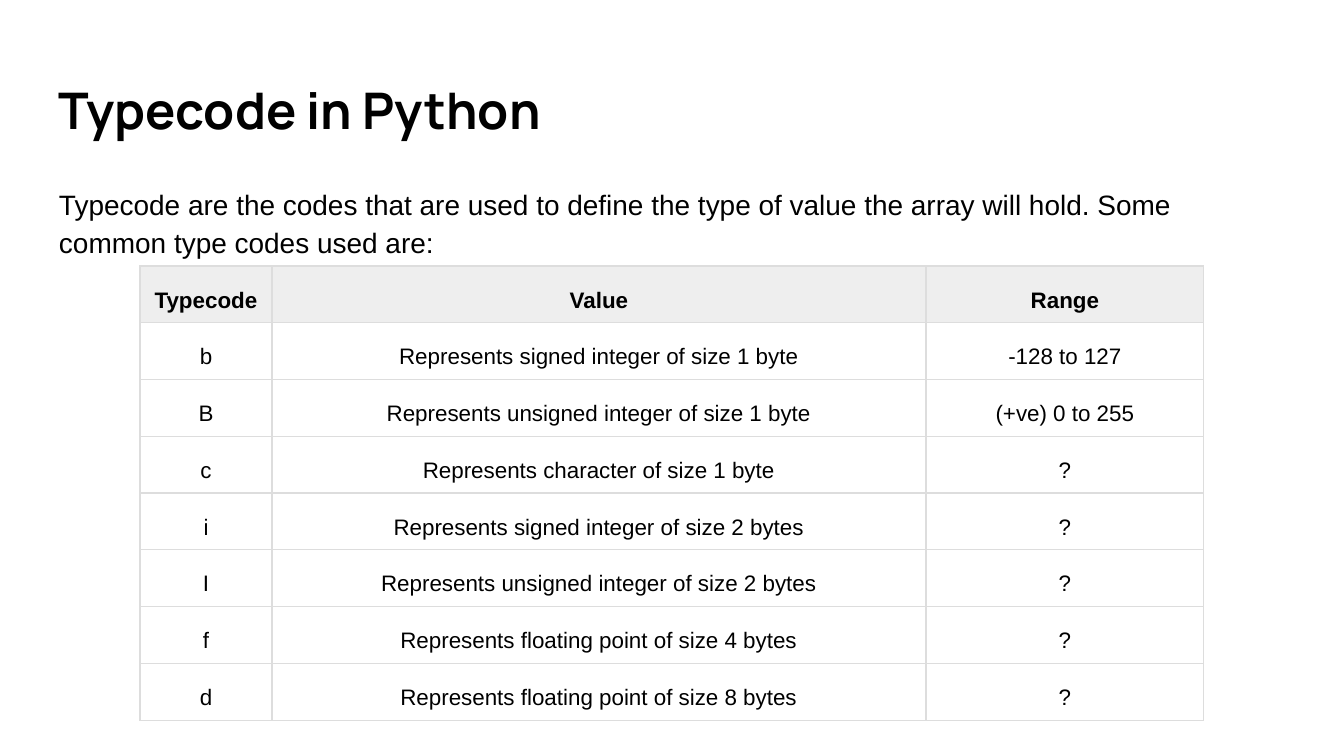
import dataclasses

import lxml.etree
import pptx
import pptx.dml.color
import pptx.enum.text
import pptx.oxml
import pptx.oxml.ns
import pptx.util

EMU_PER_PX = 9144000 / 1344
ALIGN = pptx.enum.text.PP_ALIGN
ANCHOR = pptx.enum.text.MSO_ANCHOR


@dataclasses.dataclass(frozen=True)
class Theme:
    ink: str = "000000"
    paper: str = "FFFFFF"
    header: str = "EEEEEE"
    border: str = "DDDDDD"
    title_font: str = "Manrope"
    body_font: str = "Arial"
    title_size: int = 27
    body_size: int = 15
    table_size: int = 12
    border_width: float = 0.75


THEME = Theme()

TITLE = "Typecode in Python"
INTRO = (
    "Typecode are the codes that are used to define the type of value "
    "the array will hold. Some common type codes used are:"
)
ROWS = [
    ("Typecode", "Value", "Range"),
    ("b", "Represents signed integer of size 1 byte", "-128 to 127"),
    ("B", "Represents unsigned integer of size 1 byte", "(+ve) 0 to 255"),
    ("c", "Represents character of size 1 byte", "?"),
    ("i", "Represents signed integer of size 2 bytes", "?"),
    ("I", "Represents unsigned integer of size 2 bytes", "?"),
    ("f", "Represents floating point of size 4 bytes", "?"),
    ("d", "Represents floating point of size 8 bytes", "?"),
]
COLUMN_WIDTHS = (132, 654, 278)


def px(length):
    return pptx.util.Emu(round(length * EMU_PER_PX))


def rgb(value):
    return pptx.dml.color.RGBColor.from_string(value)


def write_text(frame, text, *, font, size, bold=False, align=ALIGN.LEFT,
               line_spacing=1.0, space_after=0):
    para = frame.paragraphs[0]
    para.alignment = align
    para.line_spacing = line_spacing
    para.space_before = pptx.util.Pt(0)
    para.space_after = pptx.util.Pt(space_after)
    span = para.add_run()
    span.text = text
    span.font.name = font
    span.font.size = pptx.util.Pt(size)
    span.font.bold = bold
    span.font.color.rgb = rgb(THEME.ink)
    return para


def place_placeholder(placeholder, box):
    placeholder.left, placeholder.top, placeholder.width, placeholder.height = map(px, box)
    frame = placeholder.text_frame
    frame.word_wrap = True
    frame.auto_size = pptx.enum.text.MSO_AUTO_SIZE.NONE
    frame.vertical_anchor = ANCHOR.TOP
    frame.margin_left = frame.margin_right = px(13)
    frame.margin_top = frame.margin_bottom = px(13)
    return frame


def add_title(page, box):
    frame = place_placeholder(page.shapes.title, box)
    write_text(frame, TITLE, font=THEME.title_font, size=THEME.title_size, bold=True)


def add_intro(page, box):
    frame = place_placeholder(page.placeholders[1], box)
    para = write_text(frame, INTRO, font=THEME.body_font, size=THEME.body_size,
                      line_spacing=1.15, space_after=12)
    properties = para._p.get_or_add_pPr()
    properties.set("marL", "0")
    properties.set("indent", "0")
    lxml.etree.SubElement(properties, pptx.oxml.ns.qn("a:buNone"))


def set_borders(cell):
    properties = cell._tc.get_or_add_tcPr()
    width = pptx.util.Pt(THEME.border_width)
    for side in ("lnL", "lnR", "lnT", "lnB"):
        properties.append(pptx.oxml.parse_xml(
            f'<a:{side} {pptx.oxml.ns.nsdecls("a")} w="{width}"><a:solidFill>'
            f'<a:srgbClr val="{THEME.border}"/></a:solidFill></a:{side}>'
        ))


def format_cell(cell, text, is_header):
    set_borders(cell)
    if is_header:
        cell.fill.solid()
        cell.fill.fore_color.rgb = rgb(THEME.header)
    else:
        cell.fill.background()
    cell.margin_left = cell.margin_right = cell.margin_top = px(11)
    cell.margin_bottom = px(10)
    cell.vertical_anchor = ANCHOR.TOP
    write_text(cell.text_frame, text, font=THEME.body_font, size=THEME.table_size,
               bold=is_header, align=ALIGN.CENTER, line_spacing=1.43, space_after=15)


def add_typecode_table(page, box):
    table = page.shapes.add_table(len(ROWS), len(COLUMN_WIDTHS), *map(px, box)).table
    table.horz_banding = False
    for column, width in zip(table.columns, COLUMN_WIDTHS):
        column.width = px(width)
    for row_index, texts in enumerate(ROWS):
        table.rows[row_index].height = px(box[3] / len(ROWS))
        for column_index, text in enumerate(texts):
            format_cell(table.cell(row_index, column_index), text, row_index == 0)


def main():
    deck = pptx.Presentation()
    deck.slide_width, deck.slide_height = px(1344), px(756)
    page = deck.slides.add_slide(deck.slide_layouts[1])
    page.background.fill.solid()
    page.background.fill.fore_color.rgb = rgb(THEME.paper)
    add_title(page, (46, 66, 1252, 91))
    add_intro(page, (46, 169, 1252, 503))
    add_typecode_table(page, (140, 266, sum(COLUMN_WIDTHS), 450))
    deck.save("out.pptx")


if __name__ == "__main__":
    main()
